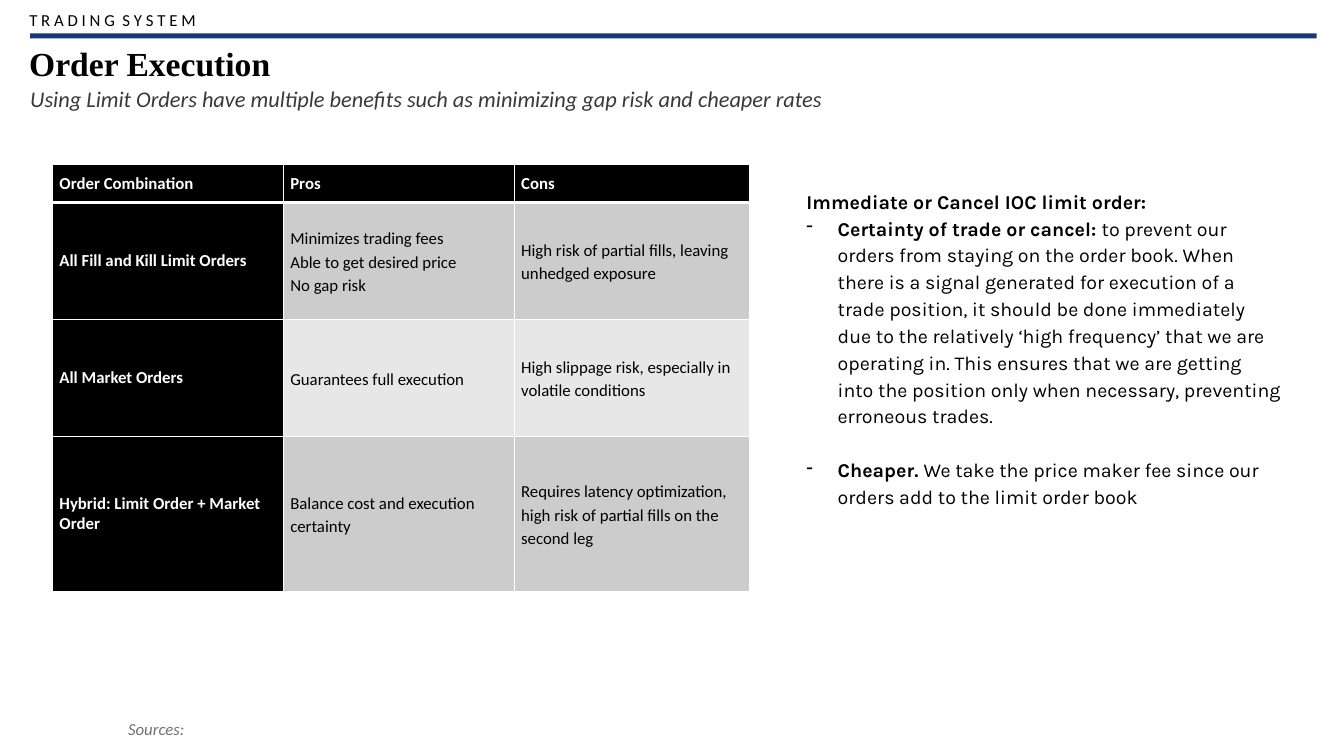
import pptx
import pptx.dml.color
import pptx.enum.shapes
import pptx.enum.text
import pptx.oxml
import pptx.oxml.ns
import pptx.util

BLACK, WHITE, NAVY = "000000", "FFFFFF", "153A75"
SUBTITLE_GREY, SOURCE_GREY = "3B3838", "767171"
BANDS = ("CCCCCC", "E7E7E7")
BODY_SPACING = 1.14


def px(length):
    return pptx.util.Inches(length / 100)


def colour(value):
    return pptx.dml.color.RGBColor.from_string(value)


class SlideBuilder:
    """Draws styled elements on one slide, with lengths in px at 100 to the inch."""

    def __init__(self, slide):
        self.slide = slide
        self.font = "Calibri"

    def style(self, paragraph, size, hue=BLACK, bold=None, italic=None, font=None, spacing=1.0):
        paragraph.line_spacing = spacing
        face = paragraph.font
        face.name, face.size = font or self.font, pptx.util.Pt(size)
        face.bold, face.italic = bold, italic
        face.color.rgb = colour(hue)

    def bar(self, left, top, width, height, hue):
        rule = self.slide.shapes.add_shape(
            pptx.enum.shapes.MSO_SHAPE.RECTANGLE, px(left), px(top), px(width), px(height))
        rule.shadow.inherit = False
        rule.fill.solid()
        rule.fill.fore_color.rgb = colour(hue)
        rule.line.fill.background()

    def frame(self, left, top, width, height, inset=10):
        frame = self.slide.shapes.add_textbox(px(left), px(top), px(width), px(height)).text_frame
        frame.word_wrap = True
        frame.margin_left = px(inset)
        return frame

    def line(self, text, box, size, **look):
        paragraph = self.frame(*box, inset=0).paragraphs[0]
        paragraph.text = text
        self.style(paragraph, size, spacing=0.9, **look)

    def notes(self, box, heading, points, size, font):
        frame = self.frame(*box)
        frame.paragraphs[0].text = heading
        self.style(frame.paragraphs[0], size, bold=True, font=font, spacing=BODY_SPACING)
        for index, (lead, detail) in enumerate(points):
            point = frame.add_paragraph()
            self.style(point, size, font=font, spacing=BODY_SPACING)
            point.space_before = pptx.util.Pt(19 if index else 0)
            point.add_run().text = lead
            point.add_run().text = detail
            point.runs[0].font.bold = True
            self.dash(point)

    def dash(self, paragraph):
        properties = paragraph._p.get_or_add_pPr()
        properties.set("marL", str(px(31)))
        properties.set("indent", str(-px(31)))
        bullet = pptx.oxml.parse_xml(f'<a:buChar {pptx.oxml.ns.nsdecls("a")} char="-"/>')
        properties.insert_element_before(bullet, "a:tabLst", "a:defRPr", "a:extLst")

    def borders(self, cell, widths):
        properties = cell._tc.get_or_add_tcPr()
        for index, (side, width) in enumerate(widths.items()):
            properties.insert(index, pptx.oxml.parse_xml(
                f'<a:ln{side} {pptx.oxml.ns.nsdecls("a")} w="{pptx.util.Pt(width)}">'
                f'<a:solidFill><a:srgbClr val="{WHITE}"/></a:solidFill></a:ln{side}>'))

    def table(self, left, top, widths, heights, rows):
        table = self.slide.shapes.add_table(
            len(rows), len(widths), px(left), px(top), px(sum(widths)), px(sum(heights))).table
        table.horz_banding = False
        for column, width in zip(table.columns, widths):
            column.width = px(width)
        for r, (row, height) in enumerate(zip(rows, heights)):
            table.rows[r].height = px(height)
            for c, text in enumerate(row):
                self.cell(table.cell(r, c), text, r, c)

    def cell(self, cell, text, r, c):
        label = r == 0 or c == 0
        cell.text = text
        cell.vertical_anchor = pptx.enum.text.MSO_ANCHOR.MIDDLE
        cell.margin_left = cell.margin_right = px(7)
        cell.margin_top = cell.margin_bottom = 0
        cell.fill.solid()
        cell.fill.fore_color.rgb = colour(BLACK if label else BANDS[(r - 1) % 2])
        for paragraph in cell.text_frame.paragraphs:
            self.style(paragraph, 12, WHITE if label else BLACK, bold=label,
                       spacing=1.0 if label else BODY_SPACING)
        self.borders(cell, {"L": 1, "R": 1, "T": 3 if r == 1 else 1, "B": 3 if r == 0 else 1})


ORDERS = [
    ("Order Combination", "Pros", "Cons"),
    ("All Fill and Kill Limit Orders",
     "Minimizes trading fees\nAble to get desired price\nNo gap risk",
     "High risk of partial fills, leaving unhedged exposure"),
    ("All Market Orders", "Guarantees full execution",
     "High slippage risk, especially in volatile conditions"),
    ("Hybrid: Limit Order + Market Order", "Balance cost and execution certainty",
     "Requires latency optimization, high risk of partial fills on the second leg"),
]
BENEFITS = [
    ("Certainty of trade or cancel: ",
     "to prevent our orders from staying on the order book. When there is a signal generated "
     "for execution of a trade position, it should be done immediately due to the relatively "
     "‘high frequency’ that we are operating in. This ensures that we are getting into the "
     "position only when necessary, preventing erroneous trades."),
    ("Cheaper. ", "We take the price maker fee since our orders add to the limit order book"),
]


def main():
    deck = pptx.Presentation()
    deck.slide_width, deck.slide_height = px(1333), px(750)
    page = SlideBuilder(deck.slides.add_slide(deck.slide_layouts[6]))
    page.bar(30, 33, 1276, 5, NAVY)
    page.line("T R A D I N G  S Y S T E M", (29, 7, 479, 30), 12)
    page.line("Using Limit Orders have multiple benefits such as minimizing gap risk and cheaper rates",
              (30, 83, 1276, 34), 16, hue=SUBTITLE_GREY, italic=True)
    page.line("Order Execution", (29, 42, 517, 45), 24, bold=True, font="Times New Roman")
    page.line("Sources:", (127, 710, 286, 40), 12, hue=SOURCE_GREY, italic=True)
    page.table(52, 163, (229, 229, 234), (38, 116, 116, 154), ORDERS)
    page.notes((790, 180, 491, 338), "Immediate or Cancel IOC limit order:", BENEFITS, 14, "Karla")
    deck.save("out.pptx")


if __name__ == "__main__":
    main()
